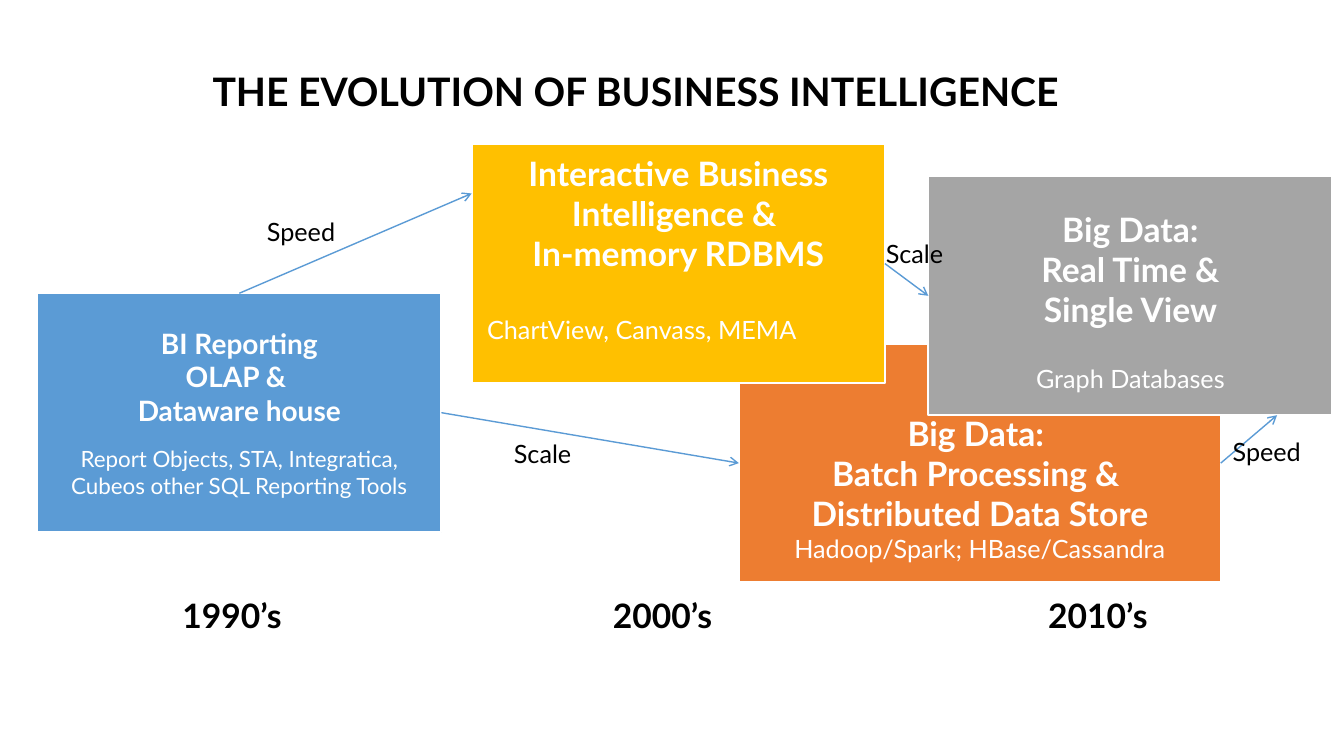
from pptx import Presentation
from pptx.dml.color import RGBColor
from pptx.enum.shapes import MSO_CONNECTOR as Link, MSO_SHAPE as Kind
from pptx.enum.text import MSO_ANCHOR as Anchor, PP_ALIGN as Align
from pptx.oxml.ns import qn
from pptx.util import Pt
from lxml.etree import SubElement as Sub

WHITE, BLACK, BLUE = "FFFFFF", "000000", "5B9BD5"
TOP, LEFT, BOTTOM, RIGHT = range(4)


def tint(code):
    """Turn a hex string into a colour."""
    return RGBColor.from_string(code)


def write(par, text, size=18, bold=False, color=BLACK, align=Align.LEFT, gap=0, lead=None):
    """Put formatted text into a paragraph."""
    par.alignment = align
    if gap:
        par.space_before = Pt(gap)
    if lead:
        par.line_spacing = lead
    run = par.add_run()
    run.text = text
    font = run.font
    font.name, font.size, font.bold = "Lato", Pt(size), bold
    font.color.rgb = tint(color)


def label(slide, x, y, w, h, text, **form):
    """Place one line of text in the given box."""
    frame = slide.shapes.add_textbox(Pt(x), Pt(y), Pt(w), Pt(h)).text_frame
    frame.word_wrap = False
    write(frame.paragraphs[0], text, **form)


def card(slide, x, y, w, h, fill, heads, tools, size=24, gap=0, inset=None, align=Align.CENTER):
    """Draw a filled box with bold heading lines and a line of tools."""
    shape = slide.shapes.add_shape(Kind.RECTANGLE, Pt(x), Pt(y), Pt(w), Pt(h))
    shape.shadow.inherit = False
    shape.fill.solid()
    shape.fill.fore_color.rgb = tint(fill)
    shape.line.color.rgb = tint(WHITE)
    shape.line.width = Pt(1.5)
    frame = shape.text_frame
    frame.word_wrap = True
    frame.vertical_anchor = Anchor.MIDDLE
    if inset is not None:
        frame.vertical_anchor = Anchor.TOP
        frame.margin_top = Pt(inset)
    for i, head in enumerate(heads):
        par = frame.add_paragraph() if i else frame.paragraphs[0]
        write(par, head, size=size, bold=True, color=WHITE, align=Align.CENTER)
    par = frame.add_paragraph()
    if align == Align.LEFT:
        par._p.get_or_add_pPr().set("marL", str(Pt(4)))
    write(par, tools, size=size - 4 if size == 20 else 18, color=WHITE, align=align, gap=gap)
    return shape


def arrow(slide, x, y, to_x, to_y, start, end=None):
    """Draw an arrow from a side of one box, joined to a side of another if given."""
    line = slide.shapes.add_connector(Link.STRAIGHT, Pt(x), Pt(y), Pt(to_x), Pt(to_y))
    line.begin_connect(*start)
    if end:
        line.end_connect(*end)
    line.line.color.rgb = tint(BLUE)
    line.line.width = Pt(1)
    Sub(line.line._get_or_add_ln(), qn("a:tailEnd"), type="arrow")
    Sub(line._element.spPr, qn("a:effectLst"))


def flow(slide, x, y):
    """Draw the four stages and the arrows between them."""
    high = 170.6
    batch = card(slide, x + 501.2, y + 142.5, 344.2, high, "ED7D31",
                 ["Big Data: ", "Batch Processing & ", "Distributed Data Store"],
                 "Hadoop/Spark; HBase/Cassandra", inset=49.3)
    report = card(slide, x, y + 106.5, 288.7, high, BLUE,
                  ["BI Reporting", "OLAP & ", "Dataware house"],
                  "Report Objects, STA, Integratica, Cubeos other SQL Reporting Tools",
                  size=20, gap=13.2)
    memory = card(slide, x + 310.3, y, 295.2, high, "FFC000",
                  ["Interactive Business Intelligence & ", "In-memory RDBMS"],
                  "ChartView, Canvass, MEMA", gap=28.8, inset=6.1, align=Align.LEFT)
    real = card(slide, x + 636.5, y + 23, 288.7, high, "A5A5A5",
                ["Big Data:", "Real Time &", "Single View"],
                "Graph Databases", gap=24, inset=22.9)
    arrow(slide, x + 144.4, y + 106.5, x + 310.3, y + 35.2, (report, TOP))
    arrow(slide, x + 288.7, y + 191.8, x + 501.2, y + 227.8, (report, RIGHT), (batch, LEFT))
    arrow(slide, x + 605.5, y + 85.3, x + 636.5, y + 108.3, (memory, RIGHT), (real, LEFT))
    arrow(slide, x + 845.4, y + 227.8, x + 885.6, y + 193.6, (batch, RIGHT))
    for dx, dy, text in [(157, 48.2, "Speed"), (333.4, 206.6, "Scale"),
                         (599, 64, "Scale"), (846.8, 205.2, "Speed")]:
        label(slide, x + dx, y + dy, 67 if text == "Speed" else 60, 29, text)


def eras(slide, y):
    """Write the decades along the foot."""
    for x, text in [(123.1, "1990’s"), (430.6, "2000’s"), (741.6, "2010’s")]:
        label(slide, x, y, 87.8, 36, text, size=24, bold=True)


def main():
    """Build and save the slide."""
    deck = Presentation()
    deck.slide_width, deck.slide_height = Pt(960), Pt(540)
    slide = deck.slides.add_slide(deck.slide_layouts[6])
    flow(slide, 26.6, 103)
    label(slide, 144.7, 48.2, 774, 46.8, "THE EVOLUTION OF BUSINESS INTELLIGENCE",
          size=28, bold=True, lead=0.9)
    eras(slide, 421.2)
    deck.save("out.pptx")


if __name__ == "__main__":
    main()
